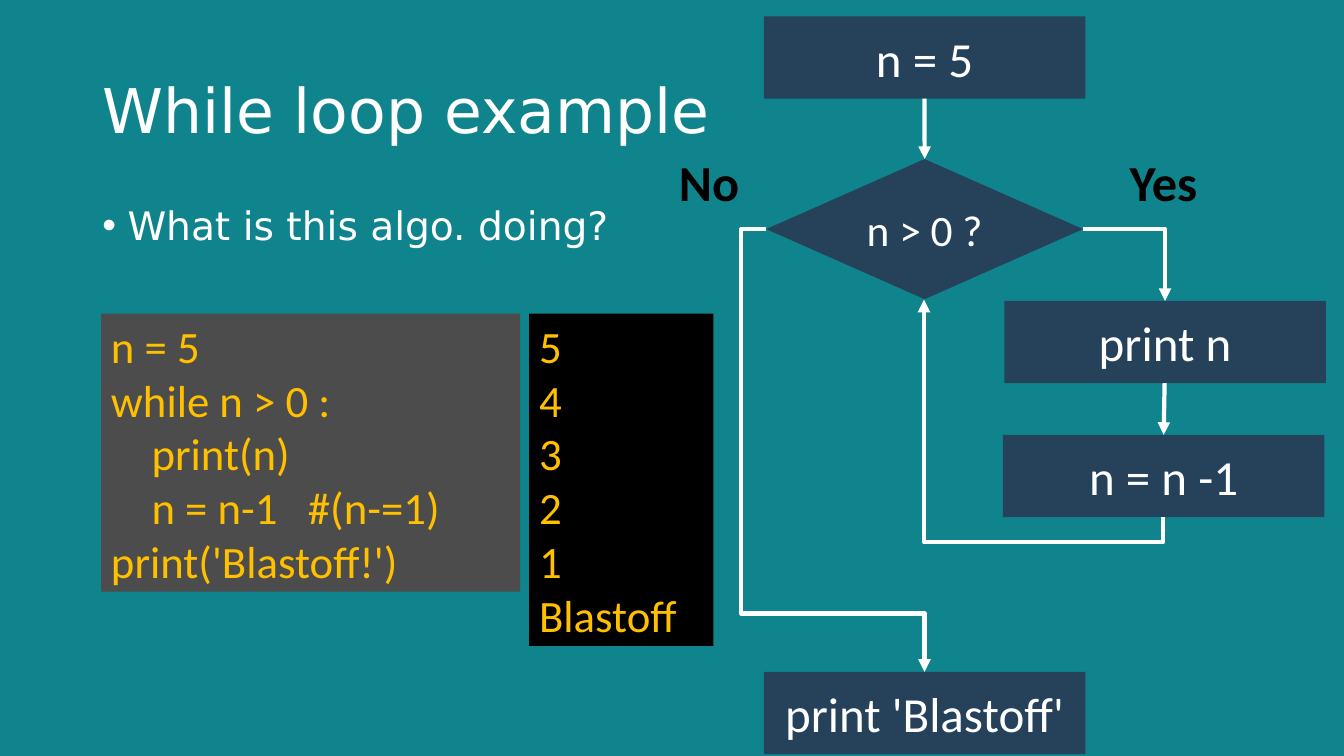
"""Build the slide that pairs a while loop with its flowchart."""
from lxml import etree
from pptx import Presentation
from pptx.dml.color import RGBColor
from pptx.enum.shapes import MSO_CONNECTOR, MSO_SHAPE
from pptx.enum.text import MSO_ANCHOR, PP_ALIGN
from pptx.oxml.ns import qn
from pptx.util import Pt

RECTANGLE, DIAMOND = MSO_SHAPE.RECTANGLE, MSO_SHAPE.DIAMOND
STRAIGHT, ELBOW = MSO_CONNECTOR.STRAIGHT, MSO_CONNECTOR.ELBOW
TOP, MIDDLE = MSO_ANCHOR.TOP, MSO_ANCHOR.MIDDLE
LEFT, CENTER = PP_ALIGN.LEFT, PP_ALIGN.CENTER

TEAL, NAVY, WHITE, BLACK = "0F848D", "26425B", "FFFFFF", "000000"
GRAY, GOLD = "4C4C4C", "FFC000"
HEADING_FONT, BODY_FONT = "DejaVu Sans", "Calibri"

TITLE = ("While loop example", (66, 28.8, 828, 104.4), 44, MIDDLE)
QUESTION = ("What is this algo. doing?", (66, 144, 384, 342), 28, TOP)

CODE = """n = 5
while n > 0 :
    print(n)
    n = n-1   #(n-=1)
print('Blastoff!')"""
OUTPUT = "5\n4\n3\n2\n1\nBlastoff"
LISTINGS = [
    (CODE, (72.2, 224, 299.3, 198.7), GRAY),
    (OUTPUT, (378, 224, 131.5, 237.4), BLACK),
]

STEP_WIDTH, STEP_HEIGHT = 229.7, 58.7
STEPS = [
    ("n = 5", 545.6, 11.7),
    ("print n", 717.4, 214.9),
    ("n = n -1", 716.4, 310.7),
    ("print 'Blastoff'", 545.6, 479.9),
]
DECISION = ("n > 0 ?", (547.3, 113.6, 226.3, 100.1))
ANSWERS = [("No", (479.5, 108, 54, 43.2)), ("Yes", (795.8, 108, 70.6, 43.2))]

# kind, start, end, preset, adjustments, quarter turns
ARROWS = [
    (STRAIGHT, (660.4, 70.5), (660.5, 113.6), "straightConnector1", [], 0),
    (STRAIGHT, (831.9, 273.6), (831.2, 310.6), "straightConnector1", [], 0),
    (ELBOW, (547.3, 163.8), (660.4, 479.9), "bentConnector4", [-15900, 86800], 0),
    (ELBOW, (773.6, 163.8), (832.2, 214.9), "bentConnector2", [], 0),
    (ELBOW, (823.2, 206.4), (667.7, 377.2), "bentConnector3", [-11500], 1),
]


def color(hex_value):
    return RGBColor.from_string(hex_value)


def write(shape, text, size, font=BODY_FONT, ink=WHITE, bold=False,
          align=CENTER, anchor=MIDDLE, margins=(0, 0), wrap=True):
    frame = shape.text_frame
    frame.text = text
    frame.word_wrap = wrap
    frame.vertical_anchor = anchor
    frame.margin_left = frame.margin_right = Pt(margins[0])
    frame.margin_top = frame.margin_bottom = Pt(margins[1])
    for paragraph in frame.paragraphs:
        paragraph.alignment = align
        for run in paragraph.runs:
            run.font.name = font
            run.font.size = Pt(size)
            run.font.bold = bold
            run.font.color.rgb = color(ink)


def add_block(slide, kind, box, fill):
    shape = slide.shapes.add_shape(kind, *map(Pt, box))
    shape.shadow.inherit = False
    shape.fill.solid()
    shape.fill.fore_color.rgb = color(fill)
    shape.line.fill.background()
    return shape


def add_heading(slide, text, box, size, anchor):
    shape = slide.shapes.add_textbox(*map(Pt, box))
    write(shape, text, size, HEADING_FONT, align=LEFT, anchor=anchor, margins=(7.2, 3.6))
    paragraph = shape.text_frame.paragraphs[0]
    paragraph.line_spacing = 0.9
    return paragraph


def add_bullet(paragraph):
    properties = paragraph._p.get_or_add_pPr()
    properties.set("marL", str(Pt(18)))
    properties.set("indent", str(-Pt(18)))
    bullet_color = etree.SubElement(properties, qn("a:buClr"))
    etree.SubElement(bullet_color, qn("a:srgbClr"), val=WHITE)
    etree.SubElement(properties, qn("a:buFont"), typeface="Arial")
    etree.SubElement(properties, qn("a:buChar"), char="•")


def add_arrow(slide, kind, start, end, preset, adjustments, quarter_turns):
    connector = slide.shapes.add_connector(kind, *map(Pt, start + end))
    connector.line.color.rgb = color(WHITE)
    connector.line.width = Pt(3)
    properties = connector._element.spPr
    etree.SubElement(properties.find(qn("a:ln")), qn("a:tailEnd"), type="triangle")
    etree.SubElement(properties, qn("a:effectLst"))
    properties.find(qn("a:xfrm")).set("rot", str(quarter_turns * 5400000))
    geometry = properties.find(qn("a:prstGeom"))
    geometry.set("prst", preset)
    guides = geometry.find(qn("a:avLst"))
    for number, value in enumerate(adjustments, 1):
        etree.SubElement(guides, qn("a:gd"), name=f"adj{number}", fmla=f"val {value}")


def main():
    presentation = Presentation()
    presentation.slide_width, presentation.slide_height = Pt(960), Pt(540)
    slide = presentation.slides.add_slide(presentation.slide_layouts[6])
    slide.background.fill.solid()
    slide.background.fill.fore_color.rgb = color(TEAL)

    add_heading(slide, *TITLE)
    add_bullet(add_heading(slide, *QUESTION))

    text, box = DECISION
    write(add_block(slide, DIAMOND, box, NAVY), text, 31)
    for text, left, top in STEPS:
        box = (left, top, STEP_WIDTH, STEP_HEIGHT)
        write(add_block(slide, RECTANGLE, box, NAVY), text, 35)
    for text, box in ANSWERS:
        label = slide.shapes.add_textbox(*map(Pt, box))
        write(label, text, 36, ink=BLACK, bold=True, wrap=False)
    for arrow in ARROWS:
        add_arrow(slide, *arrow)
    for text, box, fill in LISTINGS:
        write(add_block(slide, RECTANGLE, box, fill), text, 32, ink=GOLD,
              align=LEFT, anchor=TOP, margins=(7.2, 3.6))

    presentation.save("out.pptx")


if __name__ == "__main__":
    main()
